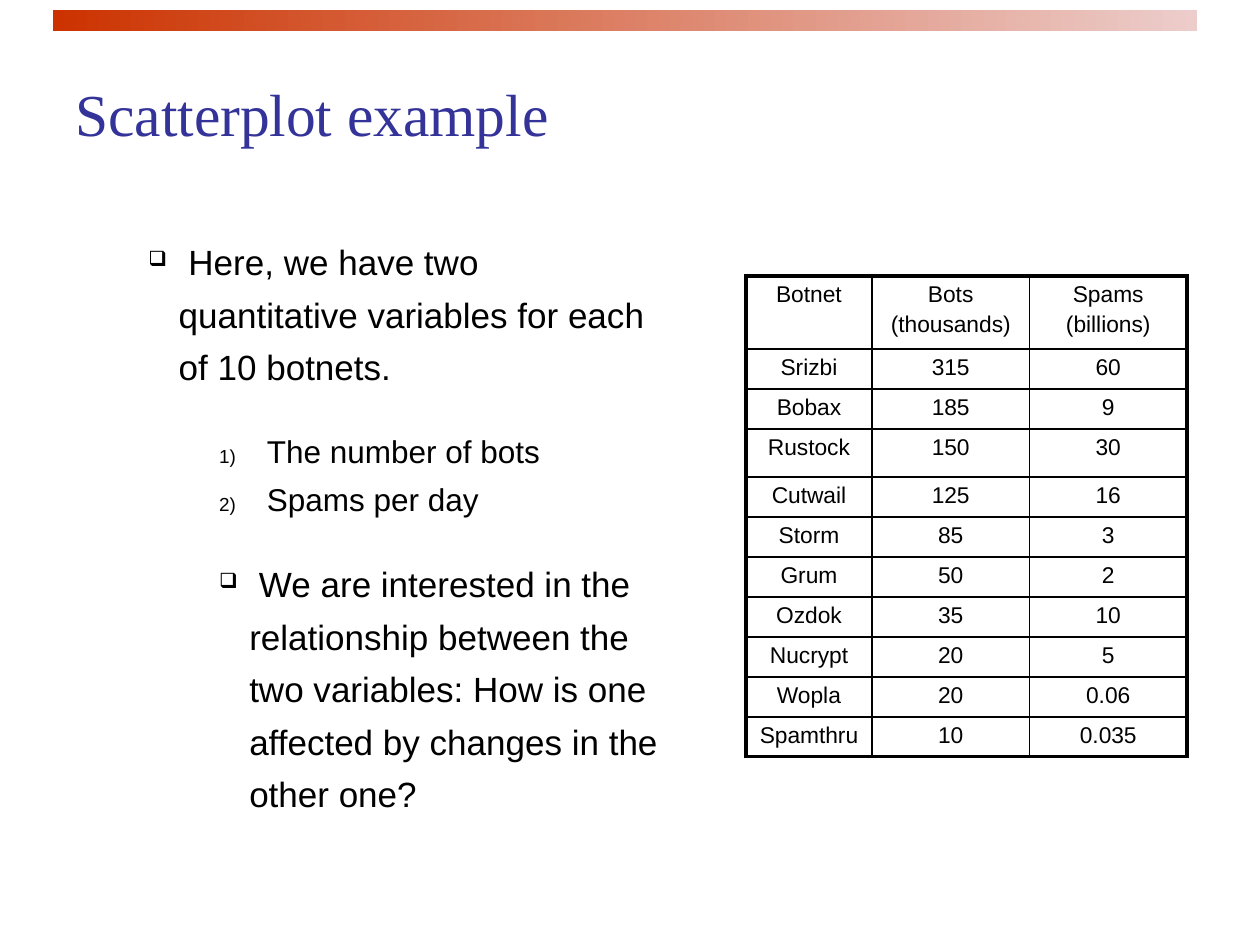
import dataclasses
import typing

import lxml.etree
import pptx
import pptx.dml.color
import pptx.enum.shapes
import pptx.enum.text
import pptx.oxml.ns
import pptx.util

Inches = pptx.util.Inches
Pt = pptx.util.Pt


@dataclasses.dataclass(frozen=True)
class Theme:
    ink: str = "000000"
    head: str = "333399"
    bar: tuple = ("CC3300", "ECCDCB")
    sans: str = "Arial"
    serif: str = "Times New Roman"
    title: float = 34
    main: float = 20
    sub: float = 18
    cell: float = 13
    thick: float = 2.25
    thin: float = 1


@dataclasses.dataclass(frozen=True)
class Point:
    text: str
    size: float
    left: float
    hang: float
    mark: tuple
    level: int = 0
    gap: float = 0


THEME = Theme()
BOX = ("buChar", {"char": "❑"})
COUNT = ("buAutoNum", {"type": "arabicParenR"})
POINTS = [
    Point(" Here, we have two quantitative variables for each of 10 botnets.",
          THEME.main, 0.24, 0.24, BOX),
    Point("The number of bots", THEME.sub, 0.94, 0.38, COUNT, 1, 20),
    Point("Spams per day", THEME.sub, 0.94, 0.38, COUNT, 1),
    Point(" We are interested in the relationship between the two variables: "
          "How is one affected by changes in the other one?",
          THEME.main, 0.8, 0.24, BOX, 1, 20),
]
ROWS = [
    ("Botnet", "Bots\n(thousands)", "Spams\n(billions)"),
    ("Srizbi", "315", "60"),
    ("Bobax", "185", "9"),
    ("Rustock", "150", "30"),
    ("Cutwail", "125", "16"),
    ("Storm", "85", "3"),
    ("Grum", "50", "2"),
    ("Ozdok", "35", "10"),
    ("Nucrypt", "20", "5"),
    ("Wopla", "20", "0.06"),
    ("Spamthru", "10", "0.035"),
]
WIDTHS = (1, 1.25, 1.25)
HEIGHT = 3.81
TALL = {0: 0.58, 3: 0.38}


def apply(item: typing.Any, values: dict) -> None:
    for name, value in values.items():
        setattr(item, name, value)


def tint(code: str) -> pptx.dml.color.RGBColor:
    return pptx.dml.color.RGBColor.from_string(code)


def add_tag(base: typing.Any, name: str, **values: str) -> typing.Any:
    tag = lxml.etree.SubElement(base, pptx.oxml.ns.qn(f"a:{name}"))
    for key, value in values.items():
        tag.set(key, value)
    return tag


def write(para: typing.Any, text: str, size: float,
          face: str = THEME.sans, color: str = THEME.ink) -> None:
    run = para.add_run()
    run.text = text
    apply(run.font, {"size": Pt(size), "name": face, "bold": False})
    run.font.color.rgb = tint(color)


def add_frame(slide: typing.Any, left: float, top: float,
              width: float, height: float) -> typing.Any:
    shape = slide.shapes.add_textbox(Inches(left), Inches(top), Inches(width), Inches(height))
    shape.text_frame.word_wrap = True
    return shape.text_frame


def next_para(frame: typing.Any, index: int) -> typing.Any:
    return frame.add_paragraph() if index else frame.paragraphs[0]


def draw_bar(slide: typing.Any) -> None:
    bar = slide.shapes.add_shape(pptx.enum.shapes.MSO_SHAPE.RECTANGLE,
                                 Inches(0.42), Inches(0.08), Inches(9.08), Inches(0.17))
    bar.shadow.inherit = False
    bar.line.fill.background()
    bar.fill.gradient()
    bar.fill.gradient_angle = 0
    for index, stop in enumerate(bar.fill.gradient_stops):
        stop.position = index
        stop.color.rgb = tint(THEME.bar[index])


def draw_title(slide: typing.Any) -> None:
    frame = add_frame(slide, 0.5, 0.5, 9, 1)
    frame.margin_top = Inches(0.11)
    write(frame.paragraphs[0], "Scatterplot example", THEME.title, THEME.serif, THEME.head)


def draw_points(slide: typing.Any, points: list[Point]) -> None:
    frame = add_frame(slide, 1.08, 1.78, 4.25, HEIGHT)
    for index, point in enumerate(points):
        para = next_para(frame, index)
        apply(para, {"level": point.level, "line_spacing": 1.25, "space_before": Pt(point.gap)})
        write(para, point.text, point.size)
        props = para._p.get_or_add_pPr()
        props.set("marL", str(Inches(point.left)))
        props.set("indent", str(-Inches(point.hang)))
        add_tag(props, "buSzPct", val="60000")
        kind, values = point.mark
        add_tag(props, kind, **values)


def draw_edge(cell: typing.Any, side: str, outer: bool) -> None:
    width = Pt(THEME.thick if outer else THEME.thin)
    line = add_tag(cell._tc.get_or_add_tcPr(), f"ln{side}", w=str(width))
    add_tag(add_tag(line, "solidFill"), "srgbClr", val=THEME.ink)


def fill_cell(cell: typing.Any, text: str, edges: dict[str, bool]) -> None:
    for side, outer in edges.items():
        draw_edge(cell, side, outer)
    cell.fill.background()
    for index, part in enumerate(text.split("\n")):
        para = next_para(cell.text_frame, index)
        apply(para, {"alignment": pptx.enum.text.PP_ALIGN.CENTER,
                     "space_before": Pt(2.6 if index else 0)})
        write(para, part, THEME.cell)


def draw_table(slide: typing.Any) -> None:
    rows, cols = len(ROWS), len(WIDTHS)
    table = slide.shapes.add_table(rows, cols, Inches(5.92), Inches(2.19),
                                   Inches(sum(WIDTHS)), Inches(HEIGHT)).table
    apply(table, {"first_row": False, "horz_banding": False})
    for col, width in zip(table.columns, WIDTHS):
        col.width = Inches(width)
    short = (HEIGHT - sum(TALL.values())) / (rows - len(TALL))
    for r, texts in enumerate(ROWS):
        table.rows[r].height = Inches(TALL.get(r, short))
        for c, text in enumerate(texts):
            edges = {"L": c == 0, "R": c == cols - 1, "T": r == 0, "B": r == rows - 1}
            fill_cell(table.cell(r, c), text, edges)


def main() -> None:
    deck = pptx.Presentation()
    apply(deck, {"slide_width": Inches(10), "slide_height": Inches(7.5)})
    slide = deck.slides.add_slide(deck.slide_layouts[6])
    draw_bar(slide)
    draw_title(slide)
    draw_table(slide)
    draw_points(slide, POINTS)
    deck.save("out.pptx")


if __name__ == "__main__":
    main()
